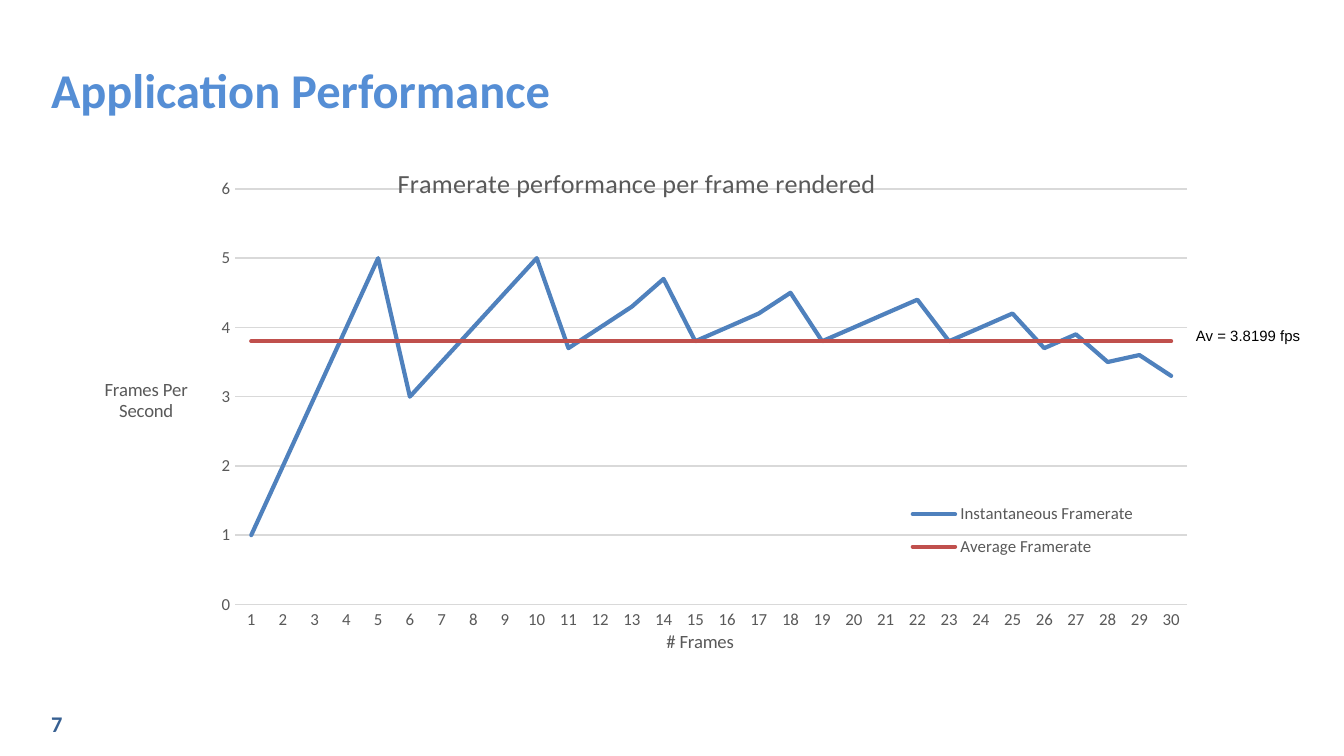
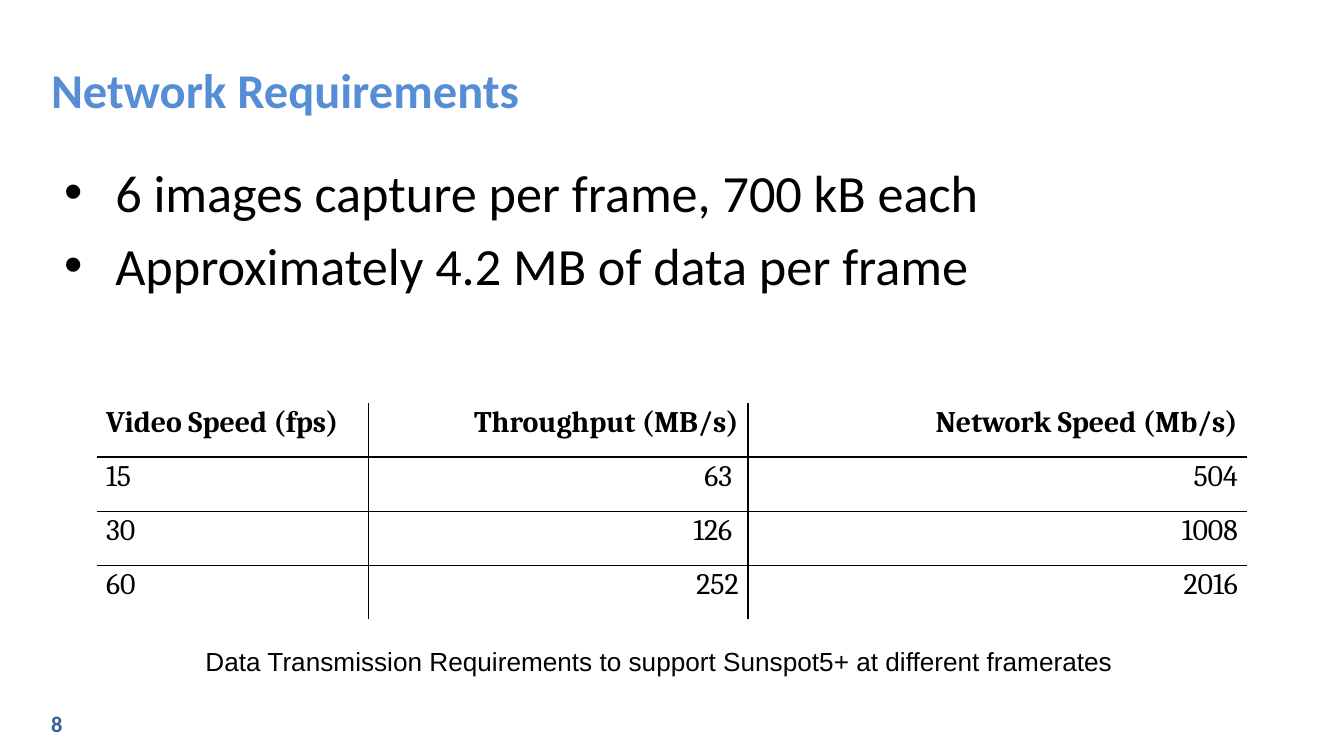
from dataclasses import dataclass
from typing import NamedTuple

from lxml.etree import SubElement
from pptx import Presentation
from pptx.chart.data import CategoryChartData
from pptx.dml.color import RGBColor
from pptx.enum.chart import XL_CHART_TYPE, XL_LEGEND_POSITION, XL_TICK_MARK
from pptx.enum.text import MSO_ANCHOR, PP_ALIGN
from pptx.oxml.ns import qn
from pptx.util import Inches, Pt

SLIDE_WIDTH = Inches(10)
SLIDE_HEIGHT = SLIDE_WIDTH * 9 // 16

BLACK = RGBColor(0x00, 0x00, 0x00)
TITLE_BLUE = RGBColor(0x55, 0x8E, 0xD5)
NUMBER_BLUE = RGBColor(0x37, 0x60, 0x92)
CHART_GREY = RGBColor(0x59, 0x59, 0x59)
GRID_GREY = RGBColor(0xD9, 0xD9, 0xD9)
SERIES_BLUE = RGBColor(0x4F, 0x81, 0xBD)
SERIES_RED = RGBColor(0xC0, 0x50, 0x4D)

NO_TABLE_STYLE = "{2D5ABB26-0587-4C30-8999-92F81FD0307C}"
CELL_MARGIN = Inches(0.07)
BULLET_INDENT = Inches(0.38)


class Area(NamedTuple):
    """Percentages of the slide's width and height."""

    left: float
    top: float
    width: float
    height: float

    def lengths(self) -> tuple[int, int, int, int]:
        return (
            int(SLIDE_WIDTH * self.left / 100),
            int(SLIDE_HEIGHT * self.top / 100),
            int(SLIDE_WIDTH * self.width / 100),
            int(SLIDE_HEIGHT * self.height / 100),
        )


@dataclass(frozen=True)
class Style:
    size: float
    color: RGBColor = BLACK
    font: str = "Calibri"
    bold: bool = False

    def apply(self, font) -> None:
        font.size = Pt(self.size)
        font.name = self.font
        font.bold = self.bold
        font.color.rgb = self.color


@dataclass(frozen=True)
class Series:
    name: str
    values: tuple[float, ...]
    color: RGBColor


@dataclass(frozen=True)
class Column:
    width: float
    align: PP_ALIGN
    cells: tuple[str, ...]


TITLE_AREA = Area(3.8, 6.58, 92.4, 10.49)
NUMBER_AREA = Area(3.8, 93.87, 16.5, 3.56)
CHART_AREA = Area(5.8, 18.49, 83.7, 68.62)
AVERAGE_AREA = Area(88, 42.31, 12.5, 4.27)
BULLETS_AREA = Area(3.8, 20.27, 92.4, 65.96)
TABLE_AREA = Area(7.2, 53.33, 85.6, 28.62)
CAPTION_AREA = Area(14.3, 84.44, 71.5, 6.04)

TITLE_STYLE = Style(26, TITLE_BLUE, bold=True)
NUMBER_STYLE = Style(12, NUMBER_BLUE, bold=True)
BULLET_STYLE = Style(28)
AVERAGE_STYLE = Style(8, font="Arial")
CAPTION_STYLE = Style(14, font="Arial")
CHART_TITLE_STYLE = Style(14, CHART_GREY)
AXIS_TITLE_STYLE = Style(10, CHART_GREY)
CHART_LABEL_STYLE = Style(9, CHART_GREY)
HEADER_STYLE = Style(16, font="Cambria", bold=True)
CELL_STYLE = Style(16, font="Cambria")

FRAME_COUNT = 30
FRAMERATES = (
    Series(
        "Instantaneous Framerate",
        (1, 2, 3, 4, 5, 3, 3.5, 4, 4.5, 5, 3.7, 4, 4.3, 4.7, 3.8,
         4, 4.2, 4.5, 3.8, 4, 4.2, 4.4, 3.8, 4, 4.2, 3.7, 3.9, 3.5, 3.6, 3.3),
        SERIES_BLUE,
    ),
    Series("Average Framerate", (3.8,) * FRAME_COUNT, SERIES_RED),
)

REQUIREMENTS = (
    Column(2.02, PP_ALIGN.JUSTIFY, ("Video Speed (fps)", "15 ", "30 ", "60 ")),
    Column(2.82, PP_ALIGN.RIGHT, ("Throughput (MB/s)", "63 ", "126 ", "252")),
    Column(3.71, PP_ALIGN.RIGHT, ("Network Speed (Mb/s)", "504", "1008", "2016")),
)
RULED_ROWS = 2


def format_runs(text_frame, style: Style) -> None:
    for paragraph in text_frame.paragraphs:
        for run in paragraph.runs:
            style.apply(run.font)


def add_text(slide, area: Area, text: str, style: Style, flush: bool = False):
    text_frame = slide.shapes.add_textbox(*area.lengths()).text_frame
    text_frame.word_wrap = True
    if flush:
        text_frame.vertical_anchor = MSO_ANCHOR.MIDDLE
        text_frame.margin_left = text_frame.margin_right = 0
        text_frame.margin_top = text_frame.margin_bottom = 0
    text_frame.text = text
    format_runs(text_frame, style)
    return text_frame


def add_titled_slide(presentation, title: str, number: int):
    slide = presentation.slides.add_slide(presentation.slide_layouts[6])
    add_text(slide, NUMBER_AREA, str(number), NUMBER_STYLE, flush=True)
    add_text(slide, TITLE_AREA, title, TITLE_STYLE, flush=True)
    return slide


def add_bullets(slide, lines: tuple[str, ...]) -> None:
    text_frame = add_text(slide, BULLETS_AREA, "\n".join(lines), BULLET_STYLE)
    for paragraph in text_frame.paragraphs:
        properties = paragraph._p.get_or_add_pPr()
        properties.set("marL", str(BULLET_INDENT))
        properties.set("indent", str(-BULLET_INDENT))
        before = SubElement(properties, qn("a:spcBef"))
        SubElement(before, qn("a:spcPct"), val="20000")
        SubElement(properties, qn("a:buFont"), typeface="Arial")
        SubElement(properties, qn("a:buChar"), char="•")


def place(part, inner: bool = False, **shares: float) -> None:
    layout = part.find(qn("c:layout"))
    if layout is None:
        layout = part.makeelement(qn("c:layout"))
        previous = part.find(qn("c:tx"))
        if previous is None:
            previous = part.find(qn("c:legendPos"))
        if previous is None:
            part.insert(0, layout)
        else:
            previous.addnext(layout)
    for child in list(layout):
        layout.remove(child)
    manual = SubElement(layout, qn("c:manualLayout"))
    if inner:
        SubElement(manual, qn("c:layoutTarget"), val="inner")
    for side in ("x", "y"):
        SubElement(manual, qn(f"c:{side}Mode"), val="edge")
    for side, share in shares.items():
        SubElement(manual, qn(f"c:{side}"), val=str(share))


def set_chart_title(title, text: str, style: Style, x: float, y: float) -> None:
    title.text_frame.text = text
    for paragraph in title.text_frame.paragraphs:
        paragraph.alignment = PP_ALIGN.CENTER
    format_runs(title.text_frame, style)
    body = title.text_frame._txBody.find(qn("a:bodyPr"))
    body.set("rot", "0")
    body.set("vert", "horz")
    place(title._element, x=x, y=y)
    overlay = title._element.find(qn("c:overlay"))
    if overlay is not None:
        overlay.set("val", "1")


def style_axis(axis) -> None:
    axis.major_tick_mark = axis.minor_tick_mark = XL_TICK_MARK.NONE
    CHART_LABEL_STYLE.apply(axis.tick_labels.font)


def style_grey_line(line) -> None:
    line.color.rgb = GRID_GREY
    line.width = Pt(0.75)


def add_framerate_chart(slide) -> None:
    chart_data = CategoryChartData()
    chart_data.categories = [str(frame + 1) for frame in range(FRAME_COUNT)]
    for framerate in FRAMERATES:
        chart_data.add_series(framerate.name, framerate.values)
    chart = slide.shapes.add_chart(
        XL_CHART_TYPE.LINE, *CHART_AREA.lengths(), chart_data
    ).chart
    Style(10).apply(chart.font)
    plot = chart.plots[0]
    plot.vary_by_categories = False
    place(plot._element.getparent(), True, x=0.14, y=0.095, w=0.846, h=0.803)

    for series, framerate in zip(plot.series, FRAMERATES):
        series.smooth = False
        series.format.line.color.rgb = framerate.color
        series.format.line.width = Pt(2.25)
        series.format.line._get_or_add_ln().set("cap", "rnd")

    frames, speeds = chart.category_axis, chart.value_axis
    style_axis(frames)
    style_axis(speeds)
    style_grey_line(frames.format.line)
    speeds.format.line.fill.background()
    speeds.has_major_gridlines = True
    style_grey_line(speeds.major_gridlines.format.line)
    speeds.minimum_scale, speeds.maximum_scale, speeds.major_unit = 0, 6, 1

    chart.has_title = True
    set_chart_title(
        chart.chart_title, "Framerate performance per frame rendered",
        CHART_TITLE_STYLE, 0.28, 0.04,
    )
    set_chart_title(frames.axis_title, "# Frames", AXIS_TITLE_STYLE, 0.52, 0.94)
    set_chart_title(
        speeds.axis_title, "Frames Per\nSecond", AXIS_TITLE_STYLE, 0.02, 0.45
    )

    chart.has_legend = True
    chart.legend.position = XL_LEGEND_POSITION.RIGHT
    chart.legend.include_in_layout = True
    CHART_LABEL_STYLE.apply(chart.legend.font)
    place(chart.legend._element, x=0.73, y=0.68, w=0.22, h=0.15)


def add_borders(cell, edges: dict[str, bool]) -> None:
    properties = cell._tc.get_or_add_tcPr()
    drawn = [edge for edge, shown in edges.items() if shown]
    for position, edge in enumerate(drawn):
        border = properties.makeelement(qn(f"a:ln{edge}"), w=str(Pt(1)))
        fill = SubElement(border, qn("a:solidFill"))
        SubElement(fill, qn("a:srgbClr"), val=str(BLACK))
        properties.insert(position, border)


def add_requirements_table(slide) -> None:
    left, top, width, height = TABLE_AREA.lengths()
    row_count = len(REQUIREMENTS[0].cells)
    table = slide.shapes.add_table(
        row_count, len(REQUIREMENTS), left, top, width, height
    ).table
    table.first_row = table.horz_banding = False
    table._tbl.tblPr.find(qn("a:tableStyleId")).text = NO_TABLE_STYLE
    total = sum(column.width for column in REQUIREMENTS)
    for x, column in enumerate(REQUIREMENTS):
        table.columns[x].width = int(width * column.width / total)
        for y, text in enumerate(column.cells):
            cell = table.cell(y, x)
            cell.fill.background()
            cell.margin_left = cell.margin_right = CELL_MARGIN
            cell.margin_top = cell.margin_bottom = 0
            cell.text_frame.text = text
            paragraph = cell.text_frame.paragraphs[0]
            paragraph.alignment = column.align
            paragraph.line_spacing = 1.07
            format_runs(cell.text_frame, CELL_STYLE if y else HEADER_STYLE)
            add_borders(cell, {
                "L": x > 0,
                "R": x < len(REQUIREMENTS) - 1,
                "T": 0 < y <= RULED_ROWS,
                "B": y < RULED_ROWS,
            })


def main() -> None:
    presentation = Presentation()
    presentation.slide_width = SLIDE_WIDTH
    presentation.slide_height = SLIDE_HEIGHT

    performance = add_titled_slide(presentation, "Application Performance", 7)
    add_framerate_chart(performance)
    add_text(performance, AVERAGE_AREA, "Av = 3.8199 fps", AVERAGE_STYLE)

    network = add_titled_slide(presentation, "Network Requirements", 8)
    add_bullets(network, (
        "6 images capture per frame, 700 kB each",
        "Approximately 4.2 MB of data per frame",
    ))
    add_requirements_table(network)
    add_text(
        network, CAPTION_AREA,
        "Data Transmission Requirements to support Sunspot5+ at different framerates",
        CAPTION_STYLE,
    )
    presentation.save("out.pptx")


if __name__ == "__main__":
    main()
